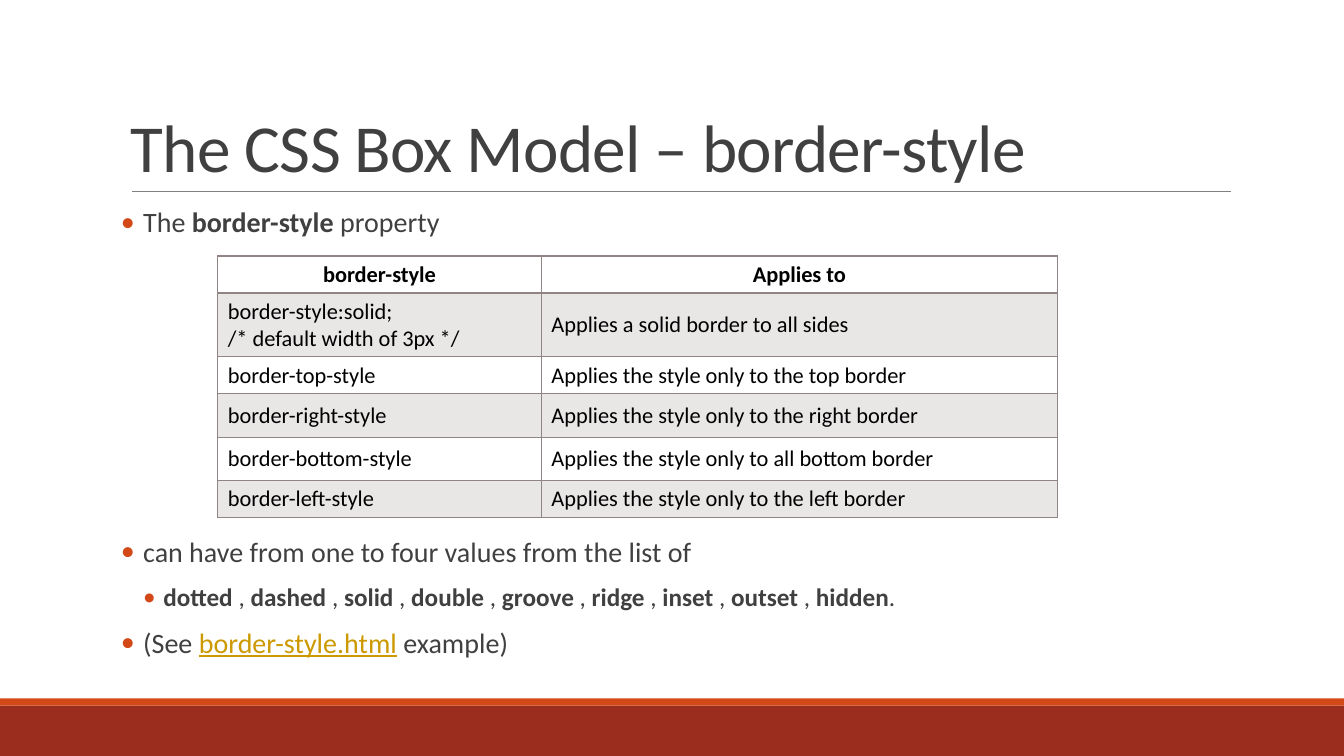
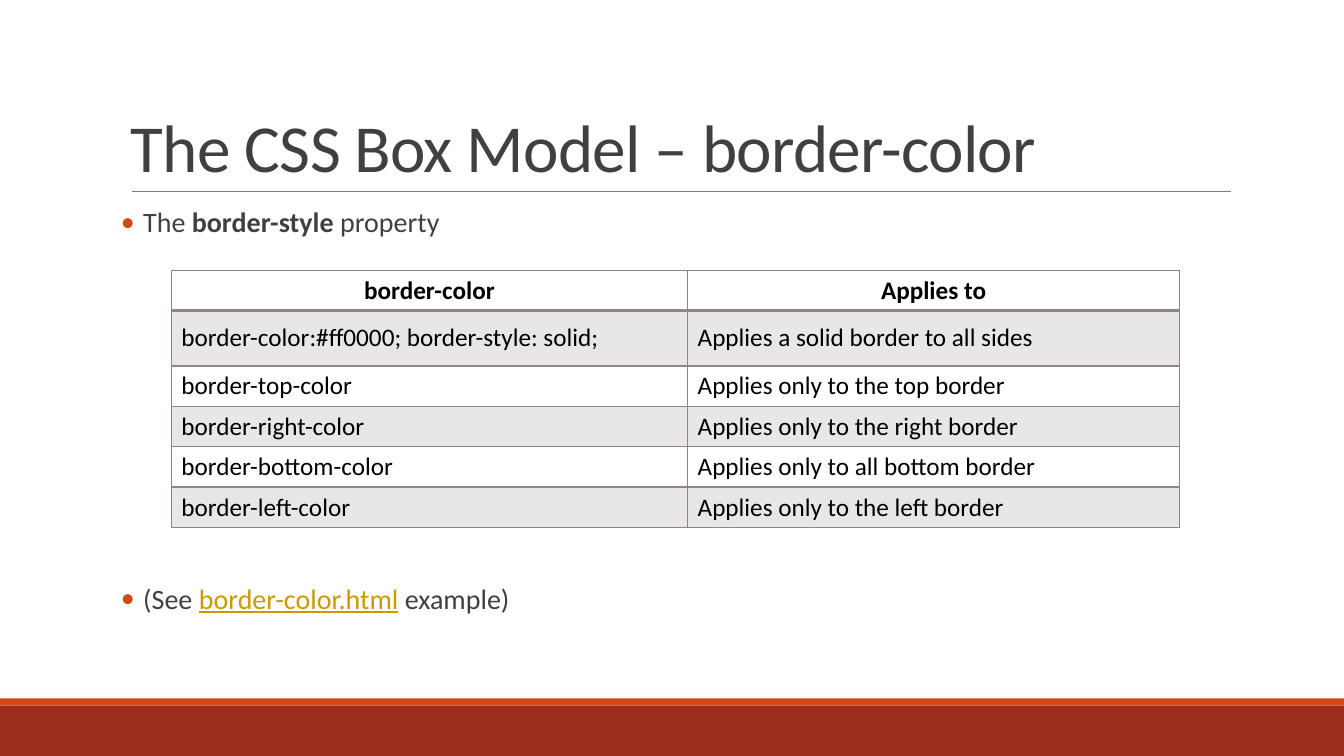
"""Build two slides on the border properties of the CSS box model."""
from dataclasses import dataclass

import pptx
import pptx.dml.color
import pptx.enum.shapes
import pptx.enum.text
import pptx.oxml
import pptx.oxml.ns
import pptx.util
from pptx.util import Inches

RGB = pptx.dml.color.RGBColor.from_string
ALIGN = pptx.enum.text.PP_ALIGN
ANCHOR = pptx.enum.text.MSO_ANCHOR


@dataclass(frozen=True)
class Theme:
    font: str = "Calibri"
    band: str = "9B2D1F"
    accent: str = "D34817"
    rule: str = "808080"
    text: str = "404040"
    link: str = "CC9900"
    grid: str = "918485"
    cell_text: str = "000000"
    stripe_opacity: int = 20
    title_size: int = 48
    body_size: int = 20
    detail_size: int = 18
    line_pitch: float = 33.6


THEME = Theme()


@dataclass(frozen=True)
class Span:
    text: str
    bold: bool = False
    link: bool = False


@dataclass(frozen=True)
class Bullet:
    spans: tuple[Span, ...]
    level: int = 0
    lines_above: int = 0


@dataclass(frozen=True)
class Grid:
    left: float
    top: float
    columns: tuple[float, ...]
    heights: tuple[float, ...]
    size: int
    rows: tuple[tuple[str, str], ...]


@dataclass(frozen=True)
class Topic:
    title: str
    body_height: float
    bullets: tuple[Bullet, ...]
    grid: Grid


def see_example(name: str, lines_above: int = 0) -> Bullet:
    spans = (Span("(See "), Span(name, link=True), Span(" example)"))
    return Bullet(spans, lines_above=lines_above)


STYLES = ("dotted", "dashed", "solid", "double", "groove", "ridge", "inset", "outset", "hidden")
STYLE_SPANS = tuple(
    span
    for style in STYLES
    for span in (Span(style, bold=True), Span("." if style == STYLES[-1] else " , "))
)
INTRO = Bullet((Span("The "), Span("border-style ", bold=True), Span("property")))

TOPICS = (
    Topic(
        "The CSS Box Model – border-style",
        4.79,
        (
            INTRO,
            Bullet((Span("can have from one to four values from the list of"),), lines_above=6),
            Bullet(STYLE_SPANS, level=1),
            see_example("border-style.html"),
        ),
        Grid(2.16, 2.54, (3.21, 5.12), (0.3, 0.5, 0.3, 0.43, 0.43, 0.3), 16, (
            ("border-style", "Applies to"),
            ("border-style:solid;\n/* default width of 3px */", "Applies a solid border to all sides"),
            ("border-top-style", "Applies the style only to the top border"),
            ("border-right-style", "Applies the style only to the right border"),
            ("border-bottom-style", "Applies the style only to all bottom border"),
            ("border-left-style", "Applies the style only to the left border"),
        )),
    ),
    Topic(
        "The CSS Box Model – border-color",
        4.4,
        (INTRO, see_example("border-color.html", lines_above=7)),
        Grid(1.7, 2.68, (5.12, 4.88), (0.32, 0.55, 0.32, 0.32, 0.32, 0.32), 18, (
            ("border-color", "Applies to"),
            ("border-color:#ff0000; border-style: solid;", "Applies a solid border to all sides"),
            ("border-top-color", "Applies only to the top border"),
            ("border-right-color", "Applies only to the right border"),
            ("border-bottom-color", "Applies only to all bottom border"),
            ("border-left-color", "Applies only to the left border"),
        )),
    ),
)


def add_xml(parent, tag: str, **attributes: str):
    child = pptx.oxml.parse_xml(f"<a:{tag} {pptx.oxml.ns.nsdecls('a')}/>")
    for name, value in attributes.items():
        child.set(name, value)
    parent.append(child)
    return child


def add_span(para, text: str, *, size: int, color: str = THEME.text, bold: bool = False,
             underline: bool = False, spacing: float = 0) -> None:
    span = para.add_run()
    span.text = text
    span.font.name = THEME.font
    span.font.size = pptx.util.Pt(size)
    span.font.bold = bold
    span.font.underline = underline
    span.font.color.rgb = RGB(color)
    if spacing:
        span.font._element.set("spc", str(round(spacing * 100)))


def add_band(page, top: float, height: float, color: str) -> None:
    band = page.shapes.add_shape(pptx.enum.shapes.MSO_SHAPE.RECTANGLE, Inches(0), Inches(top),
                                 Inches(13.33), Inches(height))
    band.shadow.inherit = False
    band.fill.solid()
    band.fill.fore_color.rgb = RGB(color)
    band.line.fill.background()


def add_frame(page) -> None:
    add_band(page, 7, 0.5, THEME.band)
    add_band(page, 6.93, 0.07, THEME.accent)
    rule = page.shapes.add_connector(pptx.enum.shapes.MSO_CONNECTOR.STRAIGHT, Inches(1.31),
                                     Inches(1.9), Inches(12.21), Inches(1.9))
    rule.line.color.rgb = RGB(THEME.rule)
    rule.line.width = pptx.util.Pt(0.5)
    add_xml(rule._element.spPr, "effectLst")


def add_box(page, top: float, height: float):
    box = page.shapes.add_textbox(Inches(1.2), Inches(top), Inches(11), Inches(height))
    box.text_frame.word_wrap = True
    return box.text_frame


def add_title(page, title: str) -> None:
    frame = add_box(page, 0.31, 1.59)
    frame.vertical_anchor = ANCHOR.BOTTOM
    para = frame.paragraphs[0]
    para.line_spacing = 0.85
    add_span(para, title, size=THEME.title_size, spacing=-0.5)


def add_bullets(page, bullets: tuple[Bullet, ...], height: float) -> None:
    frame = add_box(page, 2.02, height)
    frame.margin_left = frame.margin_right = Inches(0)
    for index, bullet in enumerate(bullets):
        para = frame.add_paragraph() if index else frame.paragraphs[0]
        para.level = bullet.level
        para.line_spacing = 0.9
        para.space_before = pptx.util.Pt(4 + bullet.lines_above * THEME.line_pitch)
        para.space_after = pptx.util.Pt(8)
        indent, hang = ((0.22, 0.22), (0.42, 0.2))[bullet.level]
        properties = para._p.get_or_add_pPr()
        properties.set("marL", str(Inches(indent)))
        properties.set("indent", str(-Inches(hang)))
        add_xml(add_xml(properties, "buClr"), "srgbClr", val=THEME.accent)
        add_xml(properties, "buFont", typeface=THEME.font)
        add_xml(properties, "buChar", char="•")
        for span in bullet.spans:
            add_span(para, span.text, bold=span.bold, underline=span.link,
                     size=THEME.detail_size if bullet.level else THEME.body_size,
                     color=THEME.link if span.link else THEME.text)


def format_cell(cell, row: int) -> None:
    properties = cell._tc.get_or_add_tcPr()
    heavy_side = {0: "lnB", 1: "lnT"}.get(row)
    for side in ("lnL", "lnR", "lnT", "lnB"):
        width = pptx.util.Pt(2 if side == heavy_side else 1)
        border = add_xml(properties, side, w=str(width))
        add_xml(add_xml(border, "solidFill"), "srgbClr", val=THEME.grid)
    cell.vertical_anchor = ANCHOR.MIDDLE
    if row % 2:
        cell.fill.solid()
        cell.fill.fore_color.rgb = RGB(THEME.grid)
        color = properties.find(".//" + pptx.oxml.ns.qn("a:solidFill") + "[last()]")
        color = properties.findall(pptx.oxml.ns.qn("a:solidFill"))[0][0]
        add_xml(color, "alpha", val=str(THEME.stripe_opacity * 1000))
    else:
        cell.fill.background()


def add_grid(page, grid: Grid) -> None:
    table = page.shapes.add_table(len(grid.rows), len(grid.columns), Inches(grid.left),
                                  Inches(grid.top), Inches(sum(grid.columns)),
                                  Inches(sum(grid.heights))).table
    table.first_row = table.horz_banding = False
    for column, width in zip(table.columns, grid.columns):
        column.width = Inches(width)
    for row, (texts, height) in enumerate(zip(grid.rows, grid.heights)):
        table.rows[row].height = Inches(height)
        for column, text in enumerate(texts):
            cell = table.cell(row, column)
            format_cell(cell, row)
            for index, line in enumerate(text.split("\n")):
                frame = cell.text_frame
                para = frame.add_paragraph() if index else frame.paragraphs[0]
                para.alignment = ALIGN.LEFT if row else ALIGN.CENTER
                add_span(para, line, size=grid.size, color=THEME.cell_text, bold=row == 0)


def main() -> None:
    deck = pptx.Presentation()
    deck.slide_width = Inches(13.33)
    deck.slide_height = Inches(7.5)
    for topic in TOPICS:
        page = deck.slides.add_slide(deck.slide_layouts[6])
        add_frame(page)
        add_title(page, topic.title)
        add_bullets(page, topic.bullets, topic.body_height)
        add_grid(page, topic.grid)
    deck.save("out.pptx")


if __name__ == "__main__":
    main()
